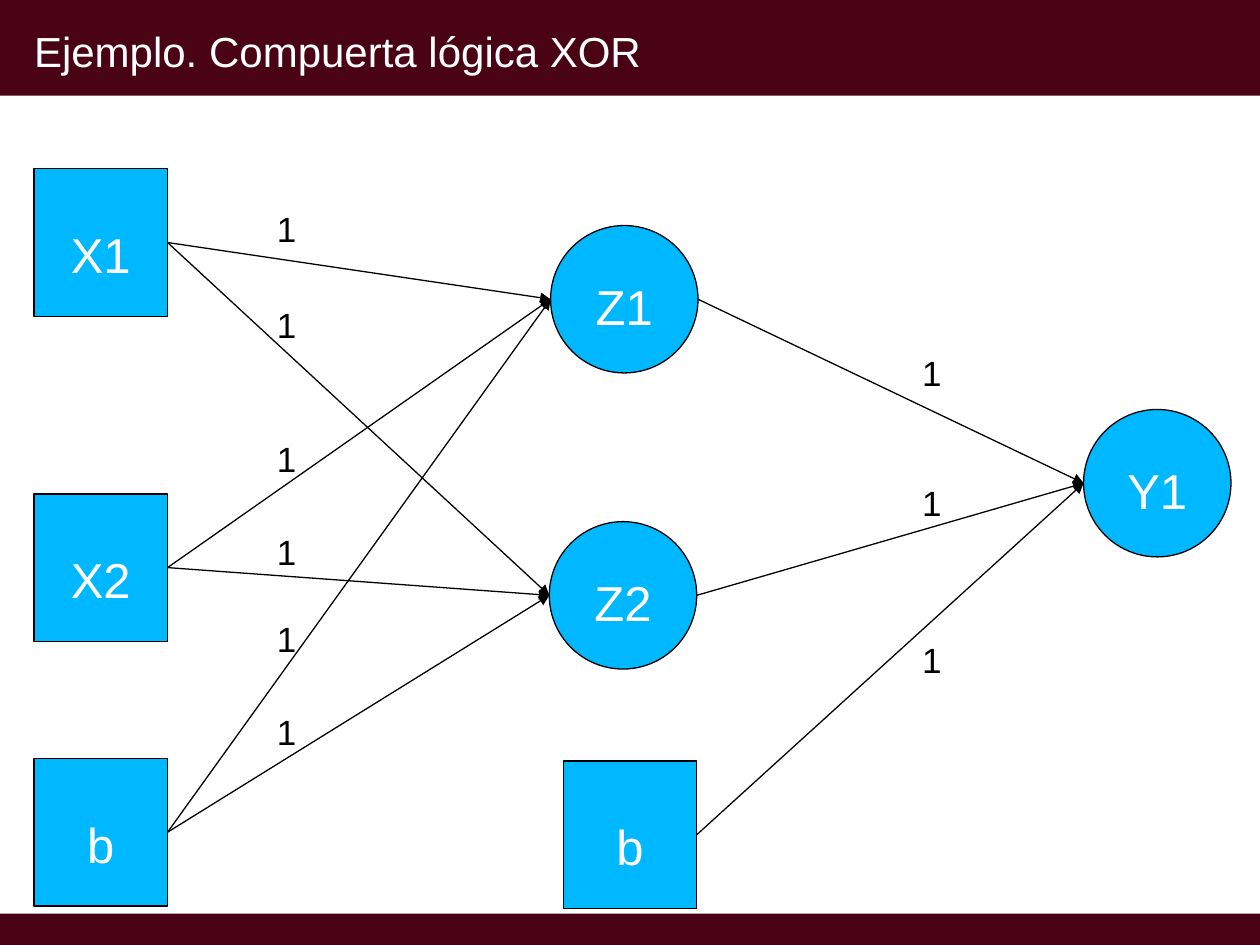
from dataclasses import dataclass

from lxml import etree
from pptx import Presentation
from pptx.dml.color import RGBColor
from pptx.enum.shapes import MSO_CONNECTOR, MSO_SHAPE
from pptx.enum.text import MSO_ANCHOR, MSO_AUTO_SIZE, PP_ALIGN
from pptx.oxml.ns import qn
from pptx.shapes.autoshape import Shape
from pptx.slide import Slide
from pptx.text.text import TextFrame
from pptx.util import Inches, Pt

RECTANGLE, ELLIPSE = MSO_SHAPE.RECTANGLE, MSO_SHAPE.OVAL
STRAIGHT = MSO_CONNECTOR.STRAIGHT
LEFT, CENTER = PP_ALIGN.LEFT, PP_ALIGN.CENTER
TOP, MIDDLE = MSO_ANCHOR.TOP, MSO_ANCHOR.MIDDLE
GROW = MSO_AUTO_SIZE.SHAPE_TO_FIT_TEXT


@dataclass(frozen=True)
class Theme:
    font: str = "Arial"
    bar: RGBColor = RGBColor(0x4A, 0x03, 0x15)
    node: RGBColor = RGBColor(0x00, 0xB8, 0xFF)
    light: RGBColor = RGBColor(0xFF, 0xFF, 0xFF)
    dark: RGBColor = RGBColor(0x00, 0x00, 0x00)
    title_size: int = 24
    node_size: int = 28
    weight_size: int = 20
    line_width: float = 0.75


THEME = Theme()


@dataclass(frozen=True)
class Node:
    """A unit of the network: inputs are boxes, neurons are circles."""
    text: str
    left: float
    top: float
    is_input: bool = False
    height: float = 1.17

    @property
    def width(self) -> float:
        return 1.06 if self.is_input else self.height

    @property
    def right(self) -> float:
        return self.left + self.width

    @property
    def middle(self) -> float:
        return self.top + self.height / 2


@dataclass(frozen=True)
class Edge:
    """A weighted connection, with the place of its weight label."""
    source: Node
    target: Node
    label_left: float
    label_top: float
    weight: str = "1"


X1 = Node("X1", 0.27, 1.34, is_input=True)
X2 = Node("X2", 0.27, 3.92, is_input=True)
HIDDEN_BIAS = Node("b", 0.27, 6.02, is_input=True)
OUTPUT_BIAS = Node("b", 4.47, 6.04, is_input=True)
Z1 = Node("Z1", 4.37, 1.79)
Z2 = Node("Z2", 4.36, 4.14)
Y1 = Node("Y1", 8.6, 3.25)
NODES = (Z1, Z2, X1, X2, Y1, HIDDEN_BIAS, OUTPUT_BIAS)

HIDDEN_LABEL_LEFT, OUTPUT_LABEL_LEFT = 2.1, 7.22
EDGES = (
    Edge(X1, Z1, HIDDEN_LABEL_LEFT, 1.6),
    Edge(X1, Z2, HIDDEN_LABEL_LEFT, 2.36),
    Edge(X2, Z1, HIDDEN_LABEL_LEFT, 3.42),
    Edge(X2, Z2, HIDDEN_LABEL_LEFT, 4.16),
    Edge(HIDDEN_BIAS, Z1, HIDDEN_LABEL_LEFT, 4.85),
    Edge(HIDDEN_BIAS, Z2, HIDDEN_LABEL_LEFT, 5.59),
    Edge(Z1, Y1, OUTPUT_LABEL_LEFT, 2.74),
    Edge(Z2, Y1, OUTPUT_LABEL_LEFT, 3.77),
    Edge(OUTPUT_BIAS, Y1, OUTPUT_LABEL_LEFT, 5.02),
)


def write_text(frame: TextFrame, text: str, *, size: int, color: RGBColor,
               align: PP_ALIGN = LEFT, anchor: MSO_ANCHOR = MIDDLE,
               margins: tuple[float, float, float, float] = (0, 0, 0, 0)) -> None:
    """Write one formatted line; margins are left, top, right, bottom."""
    frame.margin_left, frame.margin_top, frame.margin_right, frame.margin_bottom = (
        Inches(margin) for margin in margins)
    frame.vertical_anchor = anchor
    paragraph = frame.paragraphs[0]
    paragraph.alignment = align
    run = paragraph.add_run()
    run.text = text
    run.font.name = THEME.font
    run.font.size = Pt(size)
    run.font.color.rgb = color


def add_filled_shape(slide: Slide, kind: MSO_SHAPE, left: float, top: float,
                     width: float, height: float, fill: RGBColor) -> Shape:
    shape = slide.shapes.add_shape(
        kind, Inches(left), Inches(top), Inches(width), Inches(height))
    shape.shadow.inherit = False
    shape.fill.solid()
    shape.fill.fore_color.rgb = fill
    shape.line.fill.background()
    return shape


def add_title(slide: Slide, text: str) -> None:
    title = slide.shapes.title
    title.left, title.top = Inches(0.27), Inches(0.13)
    title.width, title.height = Inches(7.37), Inches(0.63)
    write_text(title.text_frame, text, size=THEME.title_size, color=THEME.light,
               margins=(0, 0, 0, 0.08))
    # Bring the title in front of the bars
    title.element.getparent().append(title.element)


def add_node(slide: Slide, node: Node) -> None:
    kind = RECTANGLE if node.is_input else ELLIPSE
    shape = add_filled_shape(
        slide, kind, node.left, node.top, node.width, node.height, THEME.node)
    shape.line.color.rgb = THEME.dark
    shape.line.width = Pt(THEME.line_width)
    # The name sits a little below the centre, more so in the boxes
    drop = 0.18 if node.is_input else 0.11
    write_text(shape.text_frame, node.text, size=THEME.node_size,
               color=THEME.light, align=CENTER, margins=(0, drop, 0, 0))


def add_edge(slide: Slide, edge: Edge) -> None:
    # Arrow from the right side of one node to the left side of the next
    connector = slide.shapes.add_connector(
        STRAIGHT, Inches(edge.source.right), Inches(edge.source.middle),
        Inches(edge.target.left), Inches(edge.target.middle))
    connector.line.color.rgb = THEME.dark
    connector.line.width = Pt(THEME.line_width)
    properties = connector.element.spPr
    etree.SubElement(properties.find(qn("a:ln")), qn("a:tailEnd"), type="triangle")
    etree.SubElement(properties, qn("a:effectLst"))

    # Weight label
    label = slide.shapes.add_textbox(
        Inches(edge.label_left), Inches(edge.label_top), Inches(0.36), Inches(0.44))
    label.text_frame.word_wrap = False
    label.text_frame.auto_size = GROW
    write_text(label.text_frame, edge.weight, size=THEME.weight_size,
               color=THEME.dark, anchor=TOP, margins=(0.1, 0.05, 0.1, 0.05))


def main() -> None:
    presentation = Presentation()
    presentation.slide_width, presentation.slide_height = Inches(10), Inches(7.5)
    slide = presentation.slides.add_slide(presentation.slide_layouts.get_by_name("Title Only"))

    # Bars and title
    for top, height in ((7.25, 0.25), (0, 0.76)):
        add_filled_shape(slide, RECTANGLE, 0, top, 10, height, THEME.bar)
    add_title(slide, "Ejemplo. Compuerta lógica XOR")

    # Network
    for node in NODES:
        add_node(slide, node)
    for edge in EDGES:
        add_edge(slide, edge)

    presentation.save("out.pptx")


if __name__ == "__main__":
    main()
